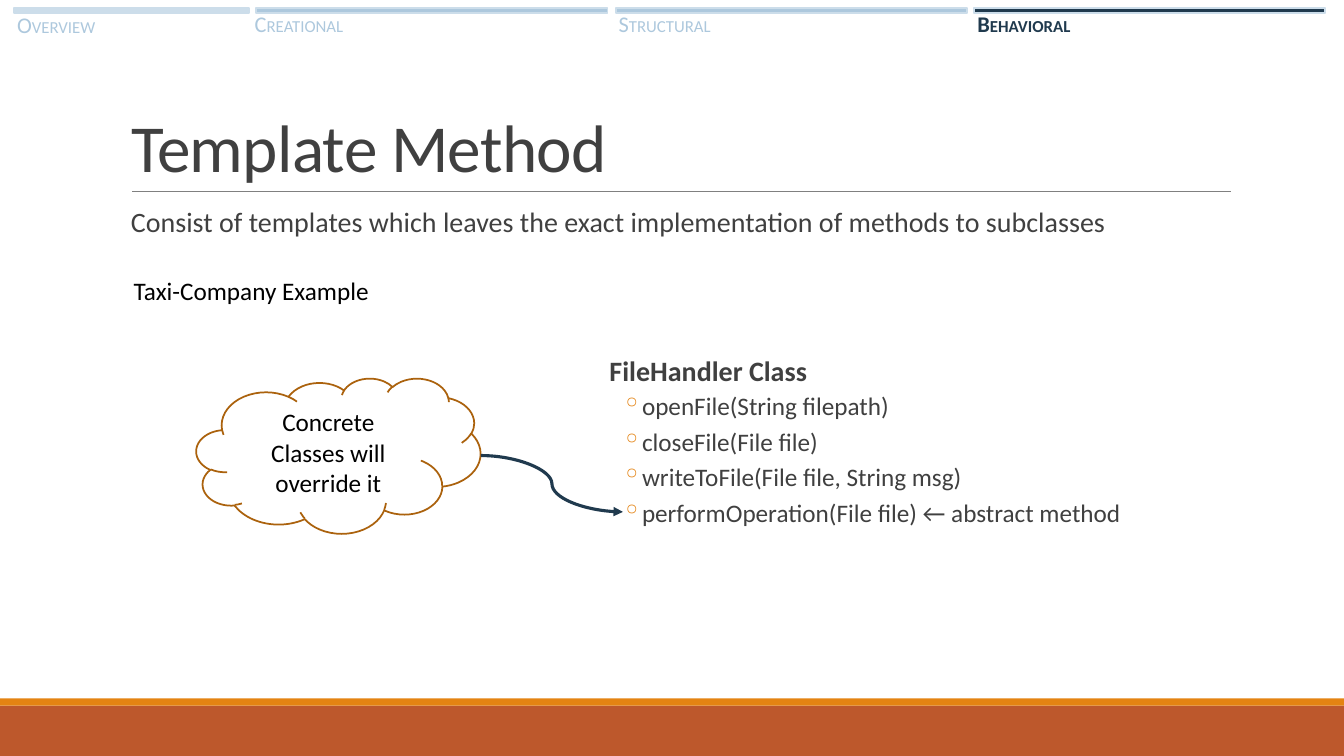
from lxml.etree import SubElement
from pptx import Presentation
from pptx.dml.color import RGBColor
from pptx.enum.shapes import MSO_CONNECTOR, MSO_SHAPE
from pptx.enum.text import MSO_ANCHOR, MSO_AUTO_SIZE, PP_ALIGN
from pptx.oxml.ns import qn
from pptx.util import Cm, Pt

WHITE, BLACK, GREY = "FFFFFF", "000000", "404040"
ORANGE, RUST, BROWN = "E48312", "BD582C", "AB620D"
NAVY, PALE, BLUE = "203A4E", "CCDDEA", "ADC8DD"

LEAD = {"line_spacing": 0.9, "space_before": Pt(12), "space_after": Pt(2)}
ITEM = {"line_spacing": 0.9, "space_before": Pt(2), "space_after": Pt(4), "level": 1}
FLUSH = {"margin_left": 0, "margin_right": 0, "word_wrap": True}

# Section name, bar left, bar width, bar fill, label left, label top, label width
TABS = [
    ("OVERVIEW", 0.36, 5.92, PALE, 0.18, 0.15, 2.57),
    ("CREATIONAL", 6.45, 8.86, BLUE, 6.17, 0.13, 2.82),
    ("STRUCTURAL", 15.52, 8.86, BLUE, 15.34, 0.13, 2.92),
    ("BEHAVIORAL", 24.54, 8.86, NAVY, 24.38, 0.13, 2.9),
]
METHODS = [
    "openFile(String filepath)",
    "closeFile(File file)",
    "writeToFile(File file, String msg)",
    "performOperation(File file) ← abstract method",
]


def color(code):
    return RGBColor.from_string(code)


def style(item, values):
    for name, value in values.items():
        setattr(item, name, value)


def add_run(para, text, size, code, bold=False):
    run = para.add_run()
    run.text = text
    style(run.font, {"name": "Calibri", "size": Pt(size), "bold": bold})
    run.font.color.rgb = color(code)
    return run


def indent(para, left, hang=0, mark=None):
    props = para._p.get_or_add_pPr()
    props.set("marL", str(Cm(left)))
    props.set("indent", str(-Cm(hang)))
    if mark:
        tint = SubElement(props, qn("a:buClr"))
        SubElement(tint, qn("a:srgbClr")).set("val", ORANGE)
        SubElement(props, qn("a:buChar")).set("char", mark)


def add_frame(slide, box, values):
    frame = slide.shapes.add_textbox(*map(Cm, box)).text_frame
    style(frame, values)
    return frame


def add_lead(frame, text, bold=False):
    para = frame.paragraphs[0]
    style(para, LEAD)
    indent(para, 0.25)
    add_run(para, text, 20, GREY, bold)


def add_block(slide, kind, box, fill, line=None):
    shape = slide.shapes.add_shape(kind, *map(Cm, box))
    shape.shadow.inherit = False
    shape.fill.solid()
    shape.fill.fore_color.rgb = color(fill)
    if line:
        shape.line.color.rgb = color(line)
        shape.line.width = Pt(1.25)
    else:
        shape.line.fill.background()
    return shape


def add_line(slide, kind, ends, code, width, arrow=False):
    link = slide.shapes.add_connector(kind, *map(Cm, ends))
    link.line.color.rgb = color(code)
    link.line.width = Pt(width)
    if arrow:
        SubElement(link.line._get_or_add_ln(), qn("a:tailEnd")).set("type", "triangle")
    SubElement(link._element.spPr, qn("a:effectLst"))


def set_title(slide, text):
    title = slide.shapes.title
    style(title, dict(zip(("left", "top", "width", "height"),
                          map(Cm, (3.05, 0.79, 27.94, 4.04)))))
    style(title.text_frame, {"vertical_anchor": MSO_ANCHOR.BOTTOM, "word_wrap": True,
                             "auto_size": MSO_AUTO_SIZE.NONE})
    para = title.text_frame.paragraphs[0]
    style(para, {"alignment": PP_ALIGN.LEFT, "line_spacing": 0.85})
    run = add_run(para, text, 48, GREY)
    run.font._element.set("spc", "-50")


def add_tab(slide, name, left, width, fill, x, y, wide):
    add_block(slide, MSO_SHAPE.RECTANGLE, (left, 0.2, width, 0.13), fill, PALE)
    live = fill == NAVY
    frame = add_frame(slide, (x, y, wide, 0.94), {"word_wrap": False})
    for text, size in ((name[0], 16), (name[1:], 12)):
        add_run(frame.paragraphs[0], text, size, NAVY if live else BLUE, live)


def add_cloud(slide, text):
    cloud = add_block(slide, MSO_SHAPE.CLOUD, (4.95, 9.53, 7.16, 3.91), WHITE, BROWN)
    style(cloud.text_frame, {"vertical_anchor": MSO_ANCHOR.MIDDLE, "word_wrap": True})
    para = cloud.text_frame.paragraphs[0]
    para.alignment = PP_ALIGN.CENTER
    add_run(para, text, 18, BLACK)


def add_class(slide, name, methods):
    frame = add_frame(slide, (15.11, 8.89, 13.39, 7.06), FLUSH)
    add_lead(frame, name, True)
    for text in methods:
        para = frame.add_paragraph()
        style(para, ITEM)
        indent(para, 1.07, 0.51, "◦")
        add_run(para, text, 18, GREY)


def main():
    deck = Presentation()
    style(deck, {"slide_width": Cm(33.87), "slide_height": Cm(19.05)})
    slide = deck.slides.add_slide(deck.slide_layouts[5])

    # Footer bands and title rule
    add_block(slide, MSO_SHAPE.RECTANGLE, (0, 17.78, 33.87, 1.27), RUST)
    add_block(slide, MSO_SHAPE.RECTANGLE, (0, 17.6, 33.87, 0.18), ORANGE)
    add_line(slide, MSO_CONNECTOR.STRAIGHT, (3.33, 4.83, 31.01, 4.83), "808080", 0.5)

    # Title and introduction
    set_title(slide, "Template Method")
    intro = add_frame(slide, (3.05, 5.13, 27.94, 1.42), FLUSH)
    add_lead(intro, "Consist of templates which leaves the exact "
                    "implementation of methods to subclasses")
    label = add_frame(slide, (3.12, 6.81, 6.5, 1.02), {"word_wrap": False})
    add_run(label.paragraphs[0], "Taxi-Company Example", 18, BLACK)

    # Class members and the remark on the abstract one
    add_class(slide, "FileHandler Class", METHODS)
    add_cloud(slide, "Concrete Classes will override it")
    add_line(slide, MSO_CONNECTOR.CURVE, (12.12, 11.48, 15.7, 12.9), NAVY, 2.25, True)

    # Section tabs
    for tab in TABS:
        add_tab(slide, *tab)

    deck.save("out.pptx")


if __name__ == "__main__":
    main()
